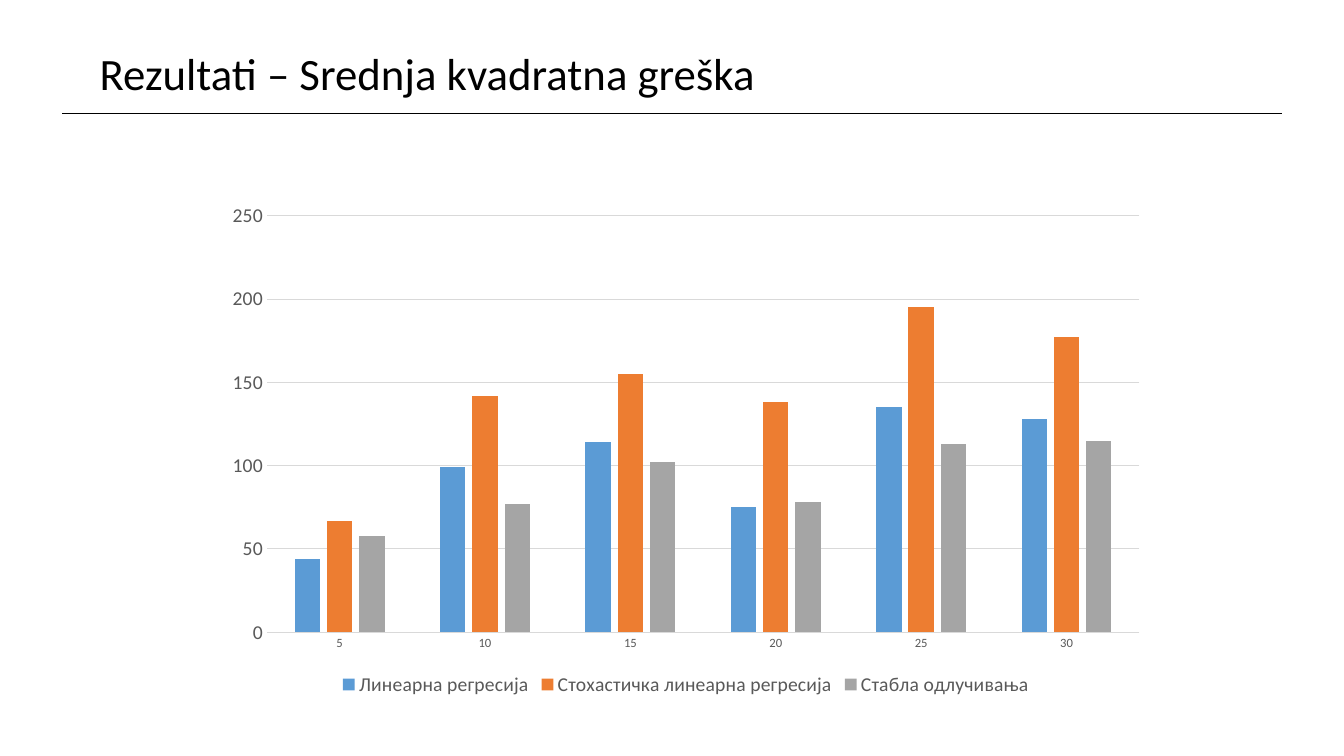
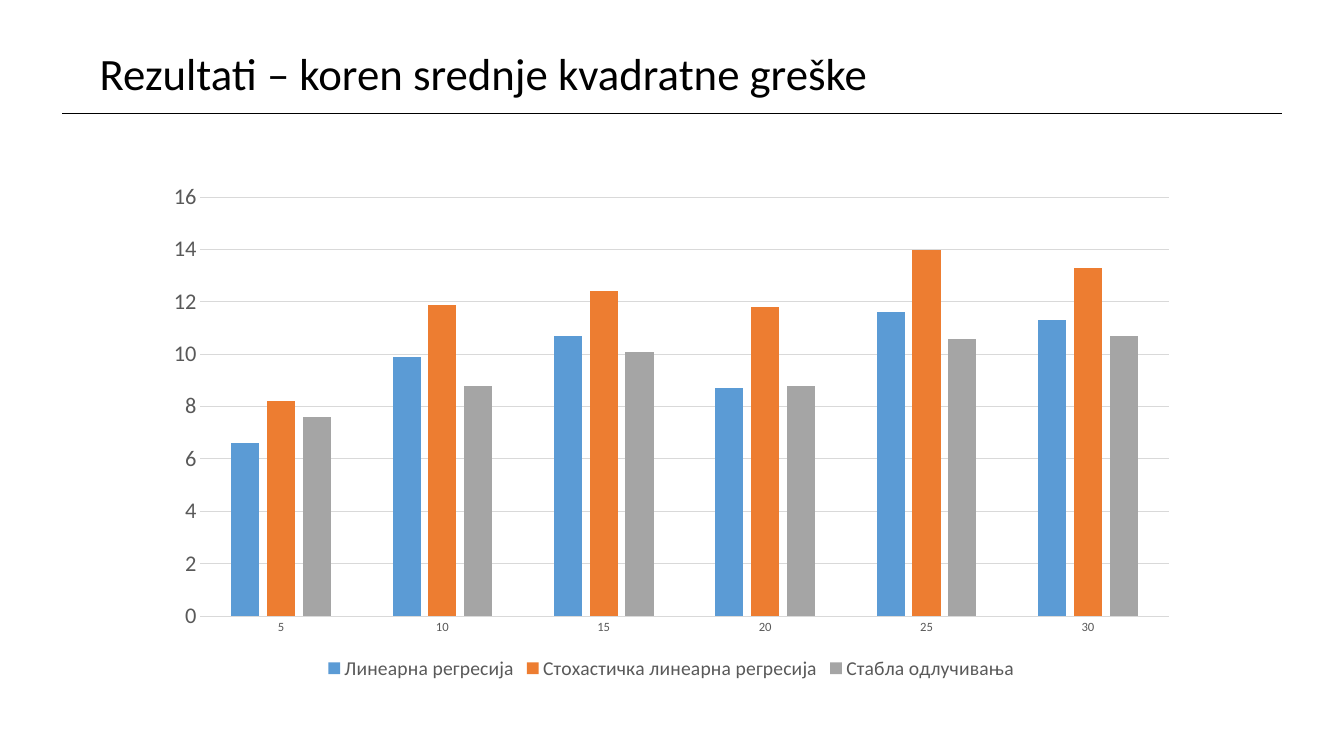
from pptx import Presentation
from pptx.chart.data import CategoryChartData
from pptx.dml.color import RGBColor
from pptx.enum.chart import XL_CHART_TYPE as ChartType, XL_LEGEND_POSITION as LegendPosition
from pptx.enum.chart import XL_TICK_MARK as TickMark
from pptx.enum.shapes import MSO_CONNECTOR as Connector
from pptx.enum.text import MSO_ANCHOR as Anchor, PP_ALIGN as Align
from pptx.oxml.ns import qn
from pptx.util import Pt
from lxml import etree

# Shared look
BLACK = RGBColor(0x00, 0x00, 0x00)
LABEL_GRAY = RGBColor(0x59, 0x59, 0x59)
GRID_GRAY = RGBColor(0xD9, 0xD9, 0xD9)
BLUE = RGBColor(0x5B, 0x9B, 0xD5)
ORANGE = RGBColor(0xED, 0x7D, 0x31)
GRAY = RGBColor(0xA5, 0xA5, 0xA5)
FONT = "Calibri"
DAYS = ["5", "10", "15", "20", "25", "30"]
METHODS = [
    ("Линеарна регресија", BLUE),
    ("Стохастичка линеарна регресија", ORANGE),
    ("Стабла одлучивања", GRAY),
]

# What differs from slide to slide
RESULTS = [
    {
        "title": "Rezultati – Srednja kvadratna greška",
        "place": (152.64, 138.24, 674.64, 362.16),
        "maximum": 250, "step": 50, "value_size": 14,
        "values": [
            (44, 99, 114, 75, 135, 128),
            (67, 142, 155, 138, 195, 177),
            (58, 77, 102, 78, 113, 115),
        ],
    },
    {
        "title": "Rezultati – koren srednje kvadratne greške",
        "place": (109.44, 123.84, 740.16, 365.04),
        "maximum": 16, "step": 2, "value_size": 16,
        "values": [
            (6.6, 9.9, 10.7, 8.7, 11.6, 11.3),
            (8.2, 11.9, 12.4, 11.8, 14, 13.3),
            (7.6, 8.8, 10.1, 8.8, 10.6, 10.7),
        ],
    },
]


def style_font(font, size, color):
    for name, value in {"name": FONT, "size": Pt(size), "bold": False}.items():
        setattr(font, name, value)
    font.color.rgb = color


def style_line(line, color, width):
    line.color.rgb = color
    line.width = Pt(width)


deck = Presentation()
deck.slide_width, deck.slide_height = Pt(960), Pt(540)

for result in RESULTS:
    page = deck.slides.add_slide(deck.slide_layouts[5])

    # Title and the rule under it
    title = page.shapes.title
    title.left, title.top, title.width, title.height = Pt(64), Pt(28.8), Pt(645), Pt(46)
    frame = title.text_frame
    frame.text = result["title"]
    frame.word_wrap = True
    frame.vertical_anchor = Anchor.MIDDLE
    para = frame.paragraphs[0]
    para.alignment = Align.LEFT
    style_font(para.runs[0].font, 32, BLACK)

    rule = page.shapes.add_connector(Connector.STRAIGHT, Pt(44.64), Pt(81), Pt(916), Pt(81))
    style_line(rule.line, BLACK, 0.5)
    etree.SubElement(rule.element.spPr, qn("a:effectLst"))

    # Clustered columns
    data = CategoryChartData()
    data.categories = DAYS
    for (method, _), values in zip(METHODS, result["values"]):
        data.add_series(method, values)
    place = [Pt(length) for length in result["place"]]
    chart = page.shapes.add_chart(ChartType.COLUMN_CLUSTERED, *place, data).chart
    chart.has_title = False
    style_font(chart.font, 10, BLACK)

    plot = chart.plots[0]
    for name, value in {"gap_width": 219, "overlap": -27, "vary_by_categories": False}.items():
        setattr(plot, name, value)
    for series, (_, color) in zip(plot.series, METHODS):
        series.format.fill.solid()
        series.format.fill.fore_color.rgb = color

    # Axes
    days_axis, error_axis = chart.category_axis, chart.value_axis
    for axis, size in ((days_axis, 9), (error_axis, result["value_size"])):
        axis.major_tick_mark = axis.minor_tick_mark = TickMark.NONE
        style_font(axis.tick_labels.font, size, LABEL_GRAY)
    style_line(days_axis.format.line, GRID_GRAY, 0.75)
    scale = {"minimum_scale": 0, "maximum_scale": result["maximum"], "major_unit": result["step"]}
    for name, value in scale.items():
        setattr(error_axis, name, value)
    error_axis.format.line.fill.background()
    style_line(error_axis.major_gridlines.format.line, GRID_GRAY, 0.75)

    # Legend
    chart.has_legend = True
    chart.legend.position = LegendPosition.BOTTOM
    chart.legend.include_in_layout = False
    style_font(chart.legend.font, 14, LABEL_GRAY)

deck.save("out.pptx")
